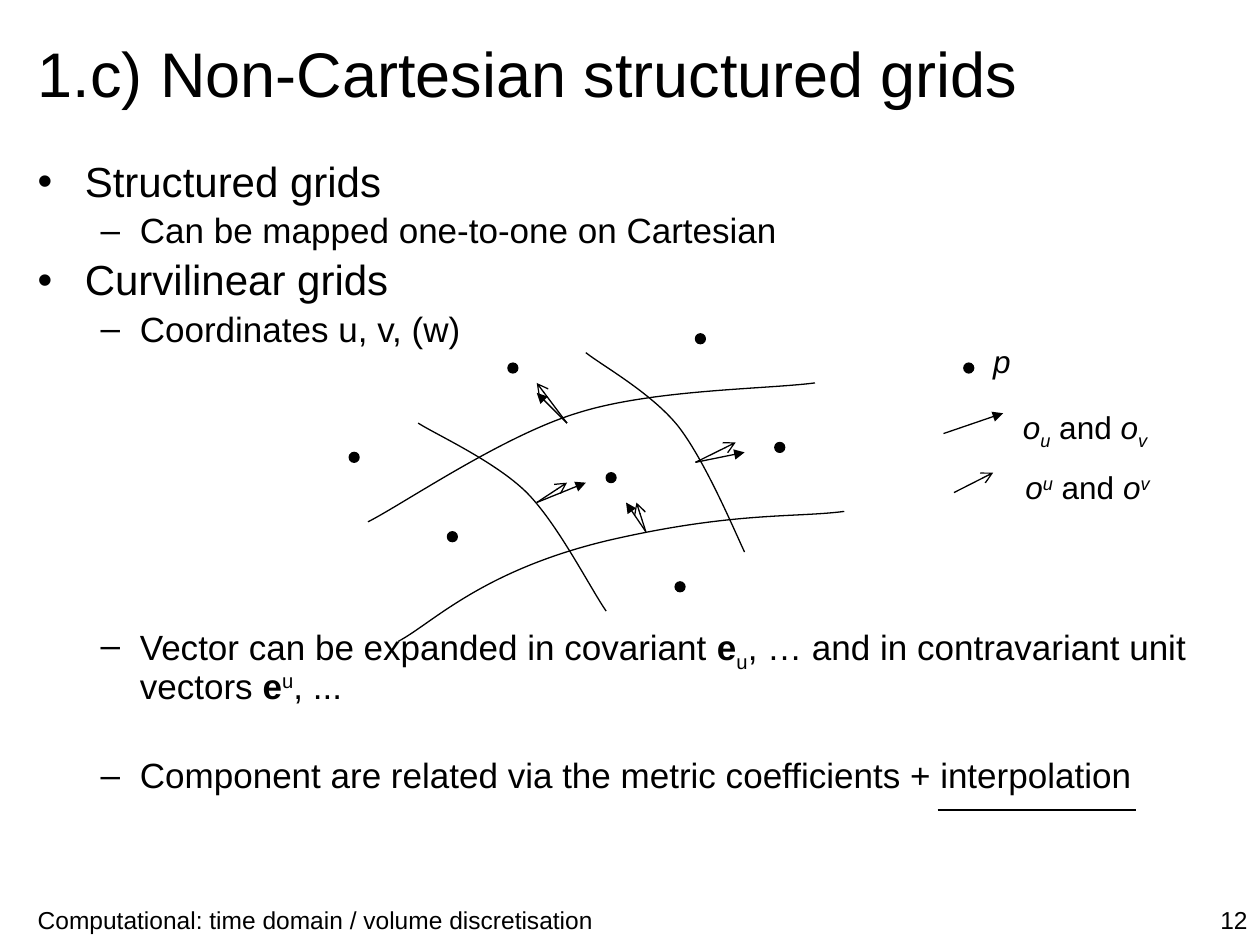
from dataclasses import dataclass

from lxml import etree
from pptx import Presentation, util as u
from pptx.dml.color import RGBColor
from pptx.enum import shapes, text
from pptx.oxml import ns

BLACK = "000000"
FONT = "Arial"
DOT_SIZE = 0.2
SUBSCRIPT, SUPERSCRIPT = -25, 30
Point = tuple[float, float]


@dataclass
class Run:
    content: str
    bold: bool = False
    italic: bool = False
    baseline: int = 0


@dataclass
class Label:
    box: tuple[float, float, float, float]
    runs: list[Run]
    size: int
    align: text.PP_ALIGN = text.PP_ALIGN.LEFT
    anchor: text.MSO_ANCHOR = text.MSO_ANCHOR.TOP
    wrap: bool = True


@dataclass
class Level:
    bullet: str
    size: int
    margin: float
    hanging: float
    space: float


@dataclass
class Item:
    level: Level
    runs: list[Run]
    extra_space: float = 0


@dataclass
class Arrow:
    start: Point
    end: Point
    head: str = ""


TOPIC = Level("•", 24, 0.95, 0.95, 4.8)
DETAIL = Level("–", 20, 2.06, 0.79, 4)

ITEMS = [
    Item(TOPIC, [Run("Structured grids")]),
    Item(DETAIL, [Run("Can be mapped one-to-one on Cartesian")]),
    Item(TOPIC, [Run("Curvilinear grids")]),
    Item(DETAIL, [Run("Coordinates u, v, (w)")]),
    Item(DETAIL, [
        Run("Vector can be expanded in covariant "),
        Run("e", bold=True), Run("u", baseline=SUBSCRIPT),
        Run(", … and in contravariant unit vectors "),
        Run("e", bold=True), Run("u", baseline=SUPERSCRIPT),
        Run(", ..."),
    ], extra_space=154),
    Item(DETAIL, [Run("Component are related via the metric coefficients + interpolation")],
         extra_space=25.3),
]


def component_names(baseline: int) -> list[Run]:
    return [
        Run("o", italic=True), Run("u", italic=True, baseline=baseline),
        Run(" and "),
        Run("o", italic=True), Run("v", italic=True, baseline=baseline),
    ]


LABELS = [
    Label((0.51, 18.12, 18.59, 0.91),
          [Run("Computational: time domain / volume discretisation")], 14),
    Label((19.91, 18.12, 5.49, 0.91), [Run("12")], 14, align=text.PP_ALIGN.RIGHT),
    Label((0.51, 0, 24.89, 2.92), [Run("1.c) Non-Cartesian structured grids")], 36,
          anchor=text.MSO_ANCHOR.MIDDLE),
    Label((19.77, 6.78, 0.86, 1.02), [Run("p", italic=True)], 18, wrap=False),
    Label((20.37, 8.1, 3.07, 1.02), component_names(SUBSCRIPT), 18, wrap=False),
    Label((20.42, 9.31, 3.07, 1.02), component_names(SUPERSCRIPT), 18, wrap=False),
]

GRID_CURVES = [
    [(7.42, 10.52), (8.13, 10.16), (10.13, 8.79), (11.63, 8.33),
     (13.13, 7.85), (15.42, 7.85), (16.43, 7.72)],
    [(8.03, 12.93), (8.71, 12.57), (9.7, 11.51), (12.24, 10.9),
     (14.78, 10.31), (16.03, 10.44), (17.02, 10.31)],
    [(8.43, 8.53), (8.79, 8.76), (9.98, 9.3), (10.62, 9.93),
     (11.25, 10.57), (11.89, 11.84), (12.22, 12.32)],
    [(11.81, 7.11), (12.14, 7.37), (13.13, 7.92), (13.67, 8.59),
     (14.2, 9.27), (14.76, 10.59), (15.01, 11.13)],
]

DOTS = [(12.22, 9.53), (15.62, 8.92), (9.02, 10.72), (13.61, 11.73),
        (14.02, 6.73), (7.04, 9.12), (10.24, 7.32), (19.43, 7.32)]

FACE_VECTORS = [
    ((10.82, 10.13), (11.81, 9.73), (11.43, 9.73)),
    ((14.02, 9.32), (15.01, 9.12), (14.83, 8.92)),
    ((13.02, 10.72), (12.62, 10.13), (12.83, 10.13)),
    ((11.43, 8.53), (10.82, 7.92), (10.82, 7.72)),
]
ARROWS = [
    Arrow(start, end, head)
    for start, covariant, contravariant in FACE_VECTORS
    for end, head in ((covariant, "triangle"), (contravariant, "arrow"))
] + [
    Arrow((19.02, 8.74), (20.22, 8.33), "triangle"),
    Arrow((19.23, 9.93), (20.02, 9.53), "arrow"),
    Arrow((18.9, 16.33), (22.91, 16.33)),
]


def color(hex_value: str) -> RGBColor:
    return RGBColor.from_string(hex_value)


def style_line(line) -> None:
    line.color.rgb = color(BLACK)
    line.width = u.Pt(0.75)


def write_runs(paragraph, runs: list[Run], size: int) -> None:
    paragraph.font.name = FONT
    paragraph.font.size = u.Pt(size)
    paragraph.font.color.rgb = color(BLACK)
    for item in runs:
        run = paragraph.add_run()
        run.text = item.content
        if item.bold:
            run.font.bold = True
        if item.italic:
            run.font.italic = True
        if item.baseline:
            run._r.get_or_add_rPr().set("baseline", str(item.baseline * 1000))


def add_label(slide, label: Label) -> None:
    frame = slide.shapes.add_textbox(*map(u.Cm, label.box)).text_frame
    frame.word_wrap = label.wrap
    frame.vertical_anchor = label.anchor
    paragraph = frame.paragraphs[0]
    paragraph.alignment = label.align
    write_runs(paragraph, label.runs, label.size)


def add_outline(slide, items: list[Item]) -> None:
    frame = slide.shapes.add_textbox(*map(u.Cm, (0.51, 3.12, 24.41, 14.4))).text_frame
    frame.word_wrap = True
    for index, item in enumerate(items):
        paragraph = frame.add_paragraph() if index else frame.paragraphs[0]
        level = item.level
        paragraph.line_spacing = 0.9
        if index:
            paragraph.space_before = u.Pt(level.space + item.extra_space)
        properties = paragraph._p.get_or_add_pPr()
        properties.set("marL", str(u.Cm(level.margin)))
        properties.set("indent", str(-u.Cm(level.hanging)))
        etree.SubElement(properties, ns.qn("a:buFont")).set("typeface", FONT)
        etree.SubElement(properties, ns.qn("a:buChar")).set("char", level.bullet)
        write_runs(paragraph, item.runs, level.size)


def add_curve(slide, controls: list[Point]) -> None:
    builder = slide.shapes.build_freeform(*map(u.Cm, controls[0]))
    builder.add_line_segments([(u.Cm(x), u.Cm(y)) for x, y in controls[1:]], close=False)
    shape = builder.convert_to_shape()
    segments = list(shape._element.iter(ns.qn("a:lnTo")))
    for first in range(0, len(segments), 3):
        curve, *others = segments[first:first + 3]
        bezier = etree.Element(ns.qn("a:cubicBezTo"))
        curve.addprevious(bezier)
        for segment in (curve, *others):
            bezier.append(segment[0])
            segment.getparent().remove(segment)
    shape.shadow.inherit = False
    shape.fill.background()
    style_line(shape.line)


def add_dot(slide, position: Point) -> None:
    shape = slide.shapes.add_shape(
        shapes.MSO_SHAPE.OVAL, *map(u.Cm, (*position, DOT_SIZE, DOT_SIZE)))
    shape.shadow.inherit = False
    shape.fill.solid()
    shape.fill.fore_color.rgb = color(BLACK)
    style_line(shape.line)


def add_arrow(slide, arrow: Arrow) -> None:
    connector = slide.shapes.add_connector(
        shapes.MSO_CONNECTOR.STRAIGHT, *map(u.Cm, (*arrow.start, *arrow.end)))
    style_line(connector.line)
    if arrow.head:
        line = connector.line._get_or_add_ln()
        etree.SubElement(line, ns.qn("a:tailEnd")).set("type", arrow.head)
    etree.SubElement(connector._element.spPr, ns.qn("a:effectLst"))


def main() -> None:
    presentation = Presentation()
    presentation.slide_width = u.Cm(25.4)
    presentation.slide_height = u.Cm(19.05)
    slide = presentation.slides.add_slide(presentation.slide_layouts[6])
    add_outline(slide, ITEMS)
    for draw, elements in ((add_label, LABELS), (add_curve, GRID_CURVES),
                           (add_dot, DOTS), (add_arrow, ARROWS)):
        for element in elements:
            draw(slide, element)
    presentation.save("out.pptx")


if __name__ == "__main__":
    main()
